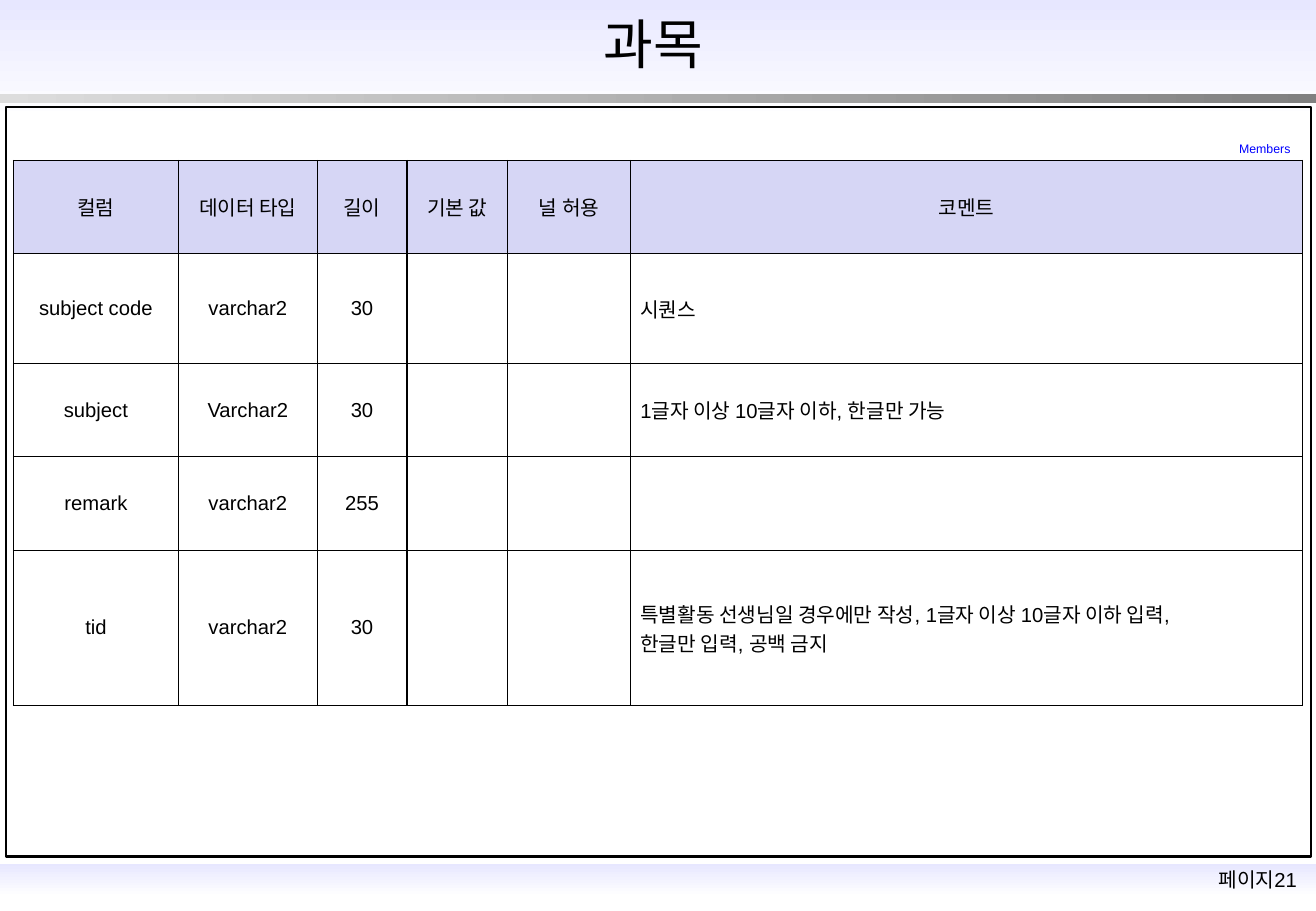
from lxml import etree
from pptx import Presentation
from pptx import util as u
from pptx.dml import color
from pptx.enum import shapes, text
from pptx.oxml import ns

HEADERS = ["컬럼", "데이터 타입", "길이", "기본 값", "널 허용", "코멘트"]
FIELDS = [
    ("subject code", "varchar2", "30", "", "", "시퀀스"),
    ("subject", "Varchar2", "30", "", "", "1글자 이상 10글자 이하, 한글만 가능"),
    ("remark", "varchar2", "255", "", "", ""),
    ("tid", "varchar2", "30", "", "",
     "특별활동 선생님일 경우에만 작성, 1글자 이상 10글자 이하 입력,\v한글만 입력, 공백 금지"),
]
COLUMN_WIDTHS = [1.36, 1.14, 0.74, 0.83, 1.01, 5.53]
ROW_HEIGHTS = [0.77, 0.9, 0.77, 0.77, 1.28]
TABLE_LEFT, TABLE_TOP = 0.11, 1.32
WIDTH, HEIGHT = 10.83, 7.5
HEADER_FILL = "D6D6F5"
BLACK, WHITE, LAVENDER = "000000", "FFFFFF", "E7E7FF"
FONT = "Arial"
LEFT, CENTER, RIGHT = (text.PP_ALIGN.LEFT, text.PP_ALIGN.CENTER, text.PP_ALIGN.RIGHT)
TOP, MIDDLE = text.MSO_ANCHOR.TOP, text.MSO_ANCHOR.MIDDLE

BANDS = [
    ((0, 7.11, WIDTH, 0.27), (LAVENDER, WHITE), 270),
    ((0, 0, WIDTH, 1), (LAVENDER, WHITE), 270),
    ((0, 0.77, WIDTH, 0.08), ("DDDDDD", "808080"), 0),
]
FRAME = (0.05, 0.88, 10.74, 6.17)
LABELS = [
    ("페이지21", (9.82, 7.09, 1.06, 0.3), 12, BLACK, CENTER, TOP, (0.1, 0.05)),
    ("과목", (1.6, 0.1, 7.56, 0.51), 32, BLACK, CENTER, MIDDLE, (0, 0)),
    ("Members", (9.86, 1.12, 0.84, 0.21), 7.3, "0000FF", RIGHT, TOP, (0.08, 0.04)),
]


def rgb(code):
    return color.RGBColor.from_string(code)


def inches(values):
    return [u.Inches(value) for value in values]


def set_margins(holder, across, down):
    margins = {"margin_left": across, "margin_right": across,
               "margin_top": down, "margin_bottom": down}
    for name, value in margins.items():
        setattr(holder, name, u.Inches(value))


def write(frame, words, size, ink, align):
    paragraph = frame.paragraphs[0]
    paragraph.text = words
    paragraph.alignment = align
    for font in [paragraph.font] + [run.font for run in paragraph.runs]:
        for name, value in {"name": FONT, "size": u.Pt(size)}.items():
            setattr(font, name, value)
        font.color.rgb = rgb(ink)


def add_rectangle(slide, box):
    rectangle = slide.shapes.add_shape(shapes.MSO_SHAPE.RECTANGLE, *inches(box))
    rectangle.shadow.inherit = False
    return rectangle


def add_band(slide, box, hues, angle):
    band = add_rectangle(slide, box)
    band.line.fill.background()
    band.fill.gradient()
    band.fill.gradient_angle = angle
    for stop, hue in zip(band.fill.gradient_stops, hues):
        stop.color.rgb = rgb(hue)


def add_frame(slide):
    frame = add_rectangle(slide, FRAME)
    frame.fill.background()
    frame.line.color.rgb = rgb(BLACK)
    frame.line.width = u.Pt(1.5)


def add_label(slide, words, box, size, ink, align, anchor, margins):
    frame = slide.shapes.add_textbox(*inches(box)).text_frame
    frame.word_wrap = True
    frame.vertical_anchor = anchor
    set_margins(frame, *margins)
    write(frame, words, size, ink, align)


def add_borders(cell):
    properties = cell._tc.get_or_add_tcPr()
    for index, side in enumerate(("lnL", "lnR", "lnT", "lnB")):
        border = etree.Element(ns.qn(f"a:{side}"), w=str(u.Pt(0.75)))
        fill = etree.SubElement(border, ns.qn("a:solidFill"))
        etree.SubElement(fill, ns.qn("a:srgbClr"), val=BLACK)
        properties.insert(index, border)


def add_field_table(slide):
    rows = [HEADERS] + FIELDS
    box = (TABLE_LEFT, TABLE_TOP, sum(COLUMN_WIDTHS), sum(ROW_HEIGHTS))
    table = slide.shapes.add_table(len(rows), len(HEADERS), *inches(box)).table
    for column, width in zip(table.columns, COLUMN_WIDTHS):
        column.width = u.Inches(width)
    for row, height in zip(table.rows, ROW_HEIGHTS):
        row.height = u.Inches(height)
    for r, row in enumerate(rows):
        for c, words in enumerate(row):
            cell = table.cell(r, c)
            is_comment = r > 0 and c == len(HEADERS) - 1
            cell.vertical_anchor = MIDDLE
            set_margins(cell, 0.08, 0.04)
            if r == 0:
                cell.fill.solid()
                cell.fill.fore_color.rgb = rgb(HEADER_FILL)
            else:
                cell.fill.background()
            write(cell.text_frame, words, 12, BLACK, LEFT if is_comment else CENTER)
            add_borders(cell)


def main():
    deck = Presentation()
    deck.slide_width, deck.slide_height = inches((WIDTH, HEIGHT))
    slide = deck.slides.add_slide(deck.slide_layouts[6])
    for band in BANDS:
        add_band(slide, *band)
    add_frame(slide)
    for label in LABELS:
        add_label(slide, *label)
    add_field_table(slide)
    deck.save("out.pptx")


if __name__ == "__main__":
    main()
